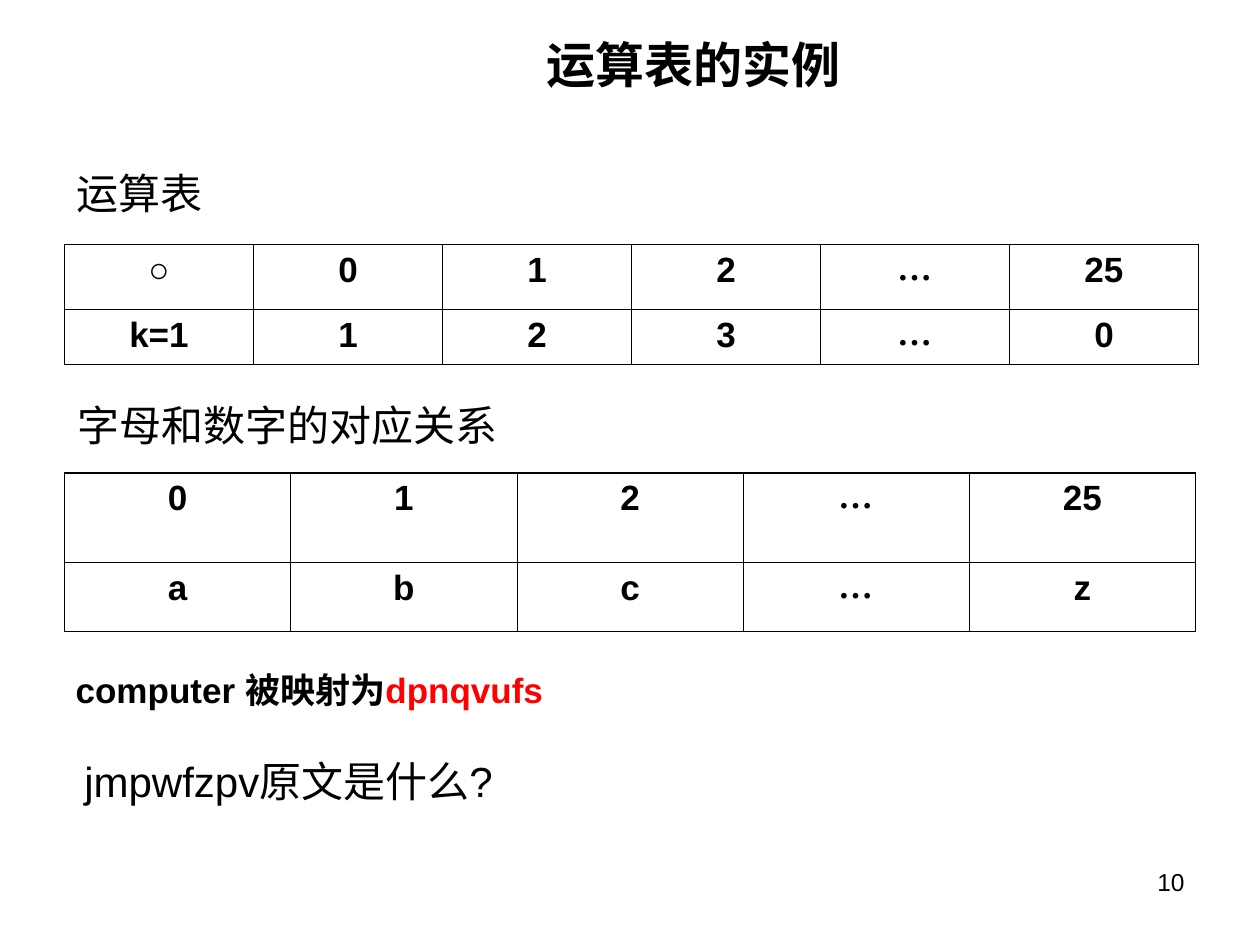
from lxml import etree
from pptx import Presentation, util as u
from pptx.dml.color import RGBColor
from pptx.enum import text
from pptx.oxml import ns

BLACK = RGBColor(0x00, 0x00, 0x00)
RED = RGBColor(0xFF, 0x00, 0x00)
LATIN, CJK = "Arial", "Noto Sans CJK SC"
THIN, THICK = u.Pt(0.45), u.Pt(1.08)
LEFT, CENTER, RIGHT = (text.PP_ALIGN.LEFT, text.PP_ALIGN.CENTER,
                       text.PP_ALIGN.RIGHT)


def add_run(p, words, size, bold=False, color=BLACK, font=LATIN):
    """Append one formatted run to a paragraph."""
    r = p.add_run()
    r.text = words
    r.font.size, r.font.bold, r.font.name = u.Pt(size), bold, font
    r.font.color.rgb = color
    ea = etree.SubElement(r.font._element, ns.qn("a:ea"))
    ea.set("typeface", CJK)


def place(sp, box):
    """Move a shape to a box given in centimetres."""
    sp.left, sp.top, sp.width, sp.height = map(u.Cm, box)


def add_title(s, box, words):
    """Fill and place the title placeholder."""
    sp = s.shapes.title
    place(sp, box)
    tf = sp.text_frame
    tf.auto_size = text.MSO_AUTO_SIZE.NONE
    tf.vertical_anchor = text.MSO_ANCHOR.MIDDLE
    p = tf.paragraphs[0]
    p.alignment = CENTER
    add_run(p, words, 28, bold=True)


def add_mapping(s, box, runs):
    """Fill the body placeholder with an unbulleted line of coloured runs."""
    sp = s.placeholders[1]
    place(sp, box)
    tf = sp.text_frame
    tf.auto_size = text.MSO_AUTO_SIZE.NONE
    tf.vertical_anchor = text.MSO_ANCHOR.TOP
    p = tf.paragraphs[0]
    pPr = p._p.get_or_add_pPr()
    pPr.set("marL", "0")
    pPr.set("indent", "0")
    etree.SubElement(pPr, ns.qn("a:buNone"))
    p.space_before = u.Pt(0)
    for words, color in runs:
        add_run(p, words, 20, bold=True, color=color)


def add_label(s, box, words, size=24, align=LEFT, wrap=False):
    """Add a one-line text box."""
    tf = s.shapes.add_textbox(*map(u.Cm, box)).text_frame
    tf.word_wrap = wrap
    p = tf.paragraphs[0]
    p.alignment = align
    add_run(p, words, size)


def set_borders(cell, widths):
    """Draw the left, right, top and bottom borders of a cell."""
    tcPr = cell._tc.get_or_add_tcPr()
    for i, (side, width) in enumerate(zip("LRTB", widths)):
        ln = etree.Element(ns.qn(f"a:ln{side}"), w=str(int(width)))
        fill = etree.SubElement(ln, ns.qn("a:solidFill"))
        etree.SubElement(fill, ns.qn("a:srgbClr"), val=str(BLACK))
        tcPr.insert(i, ln)


def add_grid(s, box, heights, rows):
    """Add a table with thick outer and thin inner borders."""
    last_row, last_col = len(rows) - 1, len(rows[0]) - 1
    frame = s.shapes.add_table(len(rows), len(rows[0]), *map(u.Cm, box))
    table = frame.table
    table.first_row = table.horz_banding = False
    for row, height in zip(table.rows, heights):
        row.height = u.Cm(height)
    for i, row in enumerate(rows):
        for j, words in enumerate(row):
            cell = table.cell(i, j)
            cell.fill.background()
            p = cell.text_frame.paragraphs[0]
            p.alignment = CENTER
            add_run(p, words, 20, bold=True,
                    font=CJK if words == "…" else LATIN)
            outer = (j == 0, j == last_col, i == 0, i == last_row)
            set_borders(cell, [THICK if edge else THIN for edge in outer])


def main():
    """Build the slide and save it."""
    prs = Presentation()
    prs.slide_width, prs.slide_height = u.Cm(25.4), u.Cm(19.05)
    s = prs.slides.add_slide(prs.slide_layouts[1])
    add_label(s, (18.21, 17.35, 5.92, 1.32), "10", 14, RIGHT, wrap=True)
    add_title(s, (5.49, 0.71, 16.99, 1.17), "运算表的实例")
    add_grid(s, (1.3, 4.93, 22.86, 2.42), (1.3, 1.12),
             [["○", "0", "1", "2", "…", "25"],
              ["k=1", "1", "2", "3", "…", "0"]])
    add_mapping(s, (1.27, 13.34, 22.86, 1.4),
                [("computer 被映射为", BLACK), ("dpnqvufs", RED)])
    add_grid(s, (1.3, 9.53, 22.8, 3.2), (1.8, 1.4),
             [["0", "1", "2", "…", "25"], ["a", "b", "c", "…", "z"]])
    add_label(s, (1.32, 7.92, 8.97, 1.27), "字母和数字的对应关系")
    add_label(s, (1.3, 3.25, 3.05, 1.27), "运算表")
    add_label(s, (1.45, 15.11, 9.14, 1.27), "jmpwfzpv原文是什么?")
    prs.save("out.pptx")


if __name__ == "__main__":
    main()
